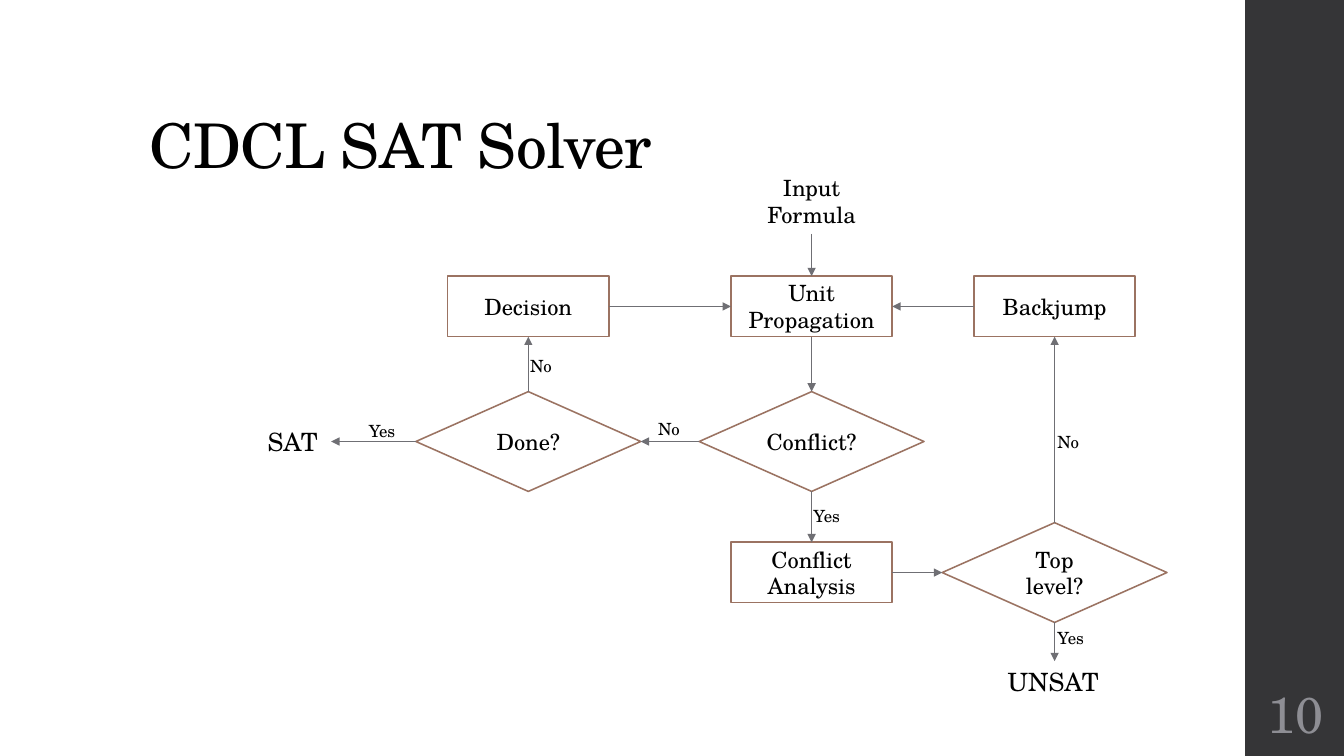
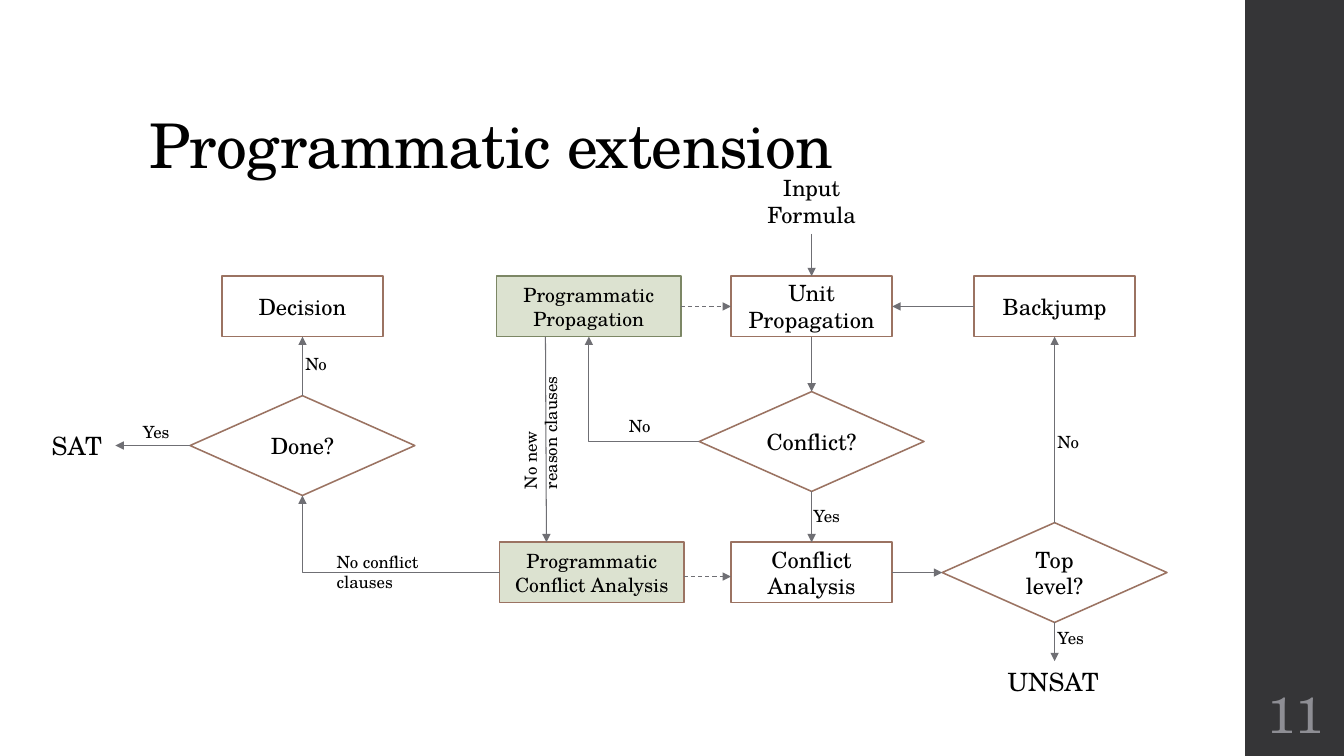
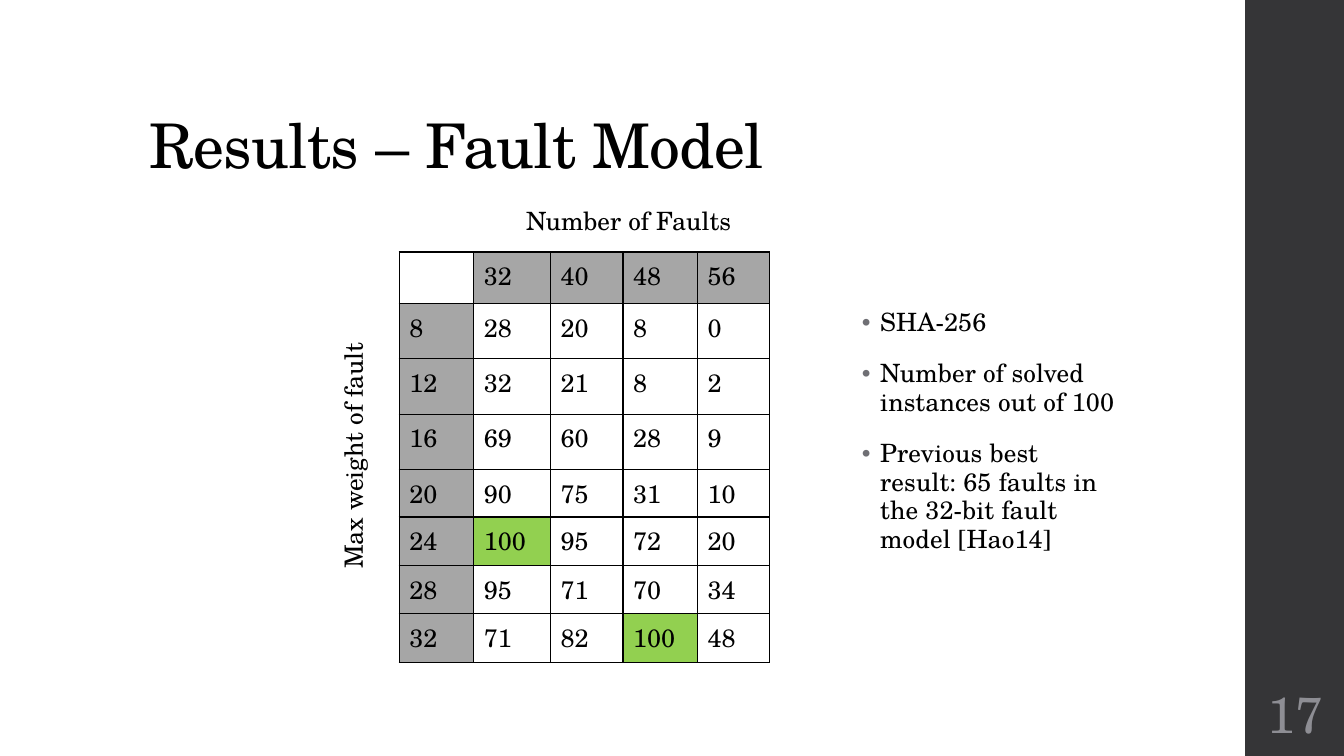
"""Builds three slides on a SAT solver: two flow charts and a table of results."""
import dataclasses

import lxml.etree
import pptx
import pptx.dml.color
import pptx.enum.dml
import pptx.enum.shapes
import pptx.enum.text
import pptx.oxml.ns
import pptx.util

Inches, Pt = pptx.util.Inches, pptx.util.Pt
SHAPE = pptx.enum.shapes.MSO_SHAPE
ALIGN = pptx.enum.text.PP_ALIGN
ANCHOR = pptx.enum.text.MSO_ANCHOR
qn = pptx.oxml.ns.qn


@dataclasses.dataclass(frozen=True)
class Theme:
    font: str = "TeX Gyre Schola"
    ink: str = "000000"
    paper: str = "FFFFFF"
    band: str = "353537"
    page: str = "8E8E94"
    wire: str = "6F6F74"
    edge: str = "9B7362"
    moss: str = "7C8765"
    sage: str = "DCE2D0"
    head: str = "A6A6A6"
    best: str = "92D050"
    title: int = 44
    number: int = 36
    body: int = 18
    node: int = 16
    small: int = 14
    tag: int = 12


LOOK = Theme()

KINDS = {
    "box": (SHAPE.RECTANGLE, 1.6, 0.6, LOOK.node, LOOK.paper, LOOK.edge),
    "ask": (SHAPE.DIAMOND, 2.23, 0.99, LOOK.node, LOOK.paper, LOOK.edge),
    "hook": (SHAPE.RECTANGLE, 1.83, 0.6, LOOK.small, LOOK.sage, LOOK.edge),
    "moss": (SHAPE.RECTANGLE, 1.83, 0.6, LOOK.small, LOOK.sage, LOOK.moss),
    "input": (None, 1.36, 0.64, LOOK.node),
    "sat": (None, 0.73, 0.4, LOOK.body),
    "unsat": (None, 1.13, 0.4, LOOK.body),
}
SIDES = {"top": (0, 0.5, 0), "left": (1, 0, 0.5),
         "bottom": (2, 0.5, 1), "right": (3, 1, 0.5)}

MID, EAST = 8.05, 10.46
HIGH, CORE, LOW = 3.04, 4.38, 5.68

NODES = [
    ("Unit Propagation", "box", MID, HIGH),
    ("Conflict?", "ask", MID, CORE),
    ("Conflict Analysis", "box", MID, LOW),
    ("Top level?", "ask", EAST, LOW),
    ("Backjump", "box", EAST, HIGH),
    ("Input Formula", "input", MID, 2),
    ("UNSAT", "unsat", EAST, 6.76),
]
WIRES = [
    ("Input Formula", "bottom", "Unit Propagation", "top"),
    ("Unit Propagation", "bottom", "Conflict?", "top"),
    ("Conflict?", "bottom", "Conflict Analysis", "top"),
    ("Conflict Analysis", "right", "Top level?", "left"),
    ("Top level?", "top", "Backjump", "bottom"),
    ("Top level?", "bottom", "UNSAT", "top"),
    ("Backjump", "left", "Unit Propagation", "right"),
    ("Done?", "top", "Decision", "bottom"),
    ("Done?", "left", "SAT", "right"),
]
TAGS = [("Yes", 7.97, 4.97), ("No", 10.39, 4.23), ("Yes", 10.39, 6.18)]

FLOWS = [
    {
        "title": "CDCL SAT Solver", "page": "10",
        "nodes": [("Done?", "ask", 5.24, CORE), ("Decision", "box", 5.24, HIGH),
                  ("SAT", "sat", 2.92, CORE)],
        "wires": [("Conflict?", "left", "Done?", "right"),
                  ("Decision", "right", "Unit Propagation", "left")],
        "tags": [("No", 6.43, 4.11), ("Yes", 3.56, 4.12), ("No", 5.16, 3.48)],
        "bends": [], "loose": [], "notes": [],
    },
    {
        "title": "Programmatic extension", "page": "11",
        "nodes": [("Done?", "ask", 3, 4.42), ("Decision", "box", 3, HIGH),
                  ("SAT", "sat", 0.78, 4.42),
                  ("Programmatic Propagation", "moss", 5.84, HIGH),
                  ("Programmatic Conflict Analysis", "hook", 5.87, LOW)],
        "wires": [],
        "tags": [("Yes", 1.32, 4.13), ("No", 2.93, 3.46), ("No", 6.14, 4.08)],
        "bends": [("Conflict?", "left", "Programmatic Propagation", "bottom"),
                  ("Programmatic Conflict Analysis", "left", "Done?", "bottom")],
        "loose": [((6.75, HIGH), (7.25, HIGH), True),
                  ((6.78, 5.72), (7.25, 5.72), True),
                  ((5.41, 3.34), (5.42, 5.38), False)],
        "notes": [(["No new", "reason clauses"], 4.7, 4.04, 270),
                  (["No conflict clauses"], 3.24, 5.42, 0)],
    },
]

RESULTS = {
    "title": "Results – Fault Model", "page": "17",
    "cols": [0.74, 0.76, 0.72, 0.74, 0.71],
    "rows": [0.51, 0.55, 0.55, 0.55, 0.47, 0.48, 0.48, 0.48],
    "cells": [
        ["", 32, 40, 48, 56],
        [8, 28, 20, 8, 0],
        [12, 32, 21, 8, 2],
        [16, 69, 60, 28, 9],
        [20, 90, 75, 31, 10],
        [24, 100, 95, 72, 20],
        [28, 95, 71, 70, 34],
        [32, 71, 82, 100, 48],
    ],
    "axes": [("Number of Faults", (5.1, 1.99, 2.27, 0.4), 0),
             ("Max weight of fault", (2.26, 4.32, 2.48, 0.4), 270)],
    "points": ["SHA-256", "Number of solved instances out of 100",
               "Previous best result: 65 faults in the 32-bit fault model [Hao14]"],
}


def rgb(hue):
    return pptx.dml.color.RGBColor.from_string(hue)


def place(shape, at):
    shape.left, shape.top, shape.width, shape.height = map(Inches, at)


def write(frame, lines, size, align=ALIGN.LEFT, hue=LOOK.ink):
    for i, line in enumerate(lines):
        para = frame.add_paragraph() if i else frame.paragraphs[0]
        para.alignment = align
        run = para.add_run()
        run.text = line
        font = run.font
        font.name, font.size = LOOK.font, Pt(size)
        font.color.rgb = rgb(hue)


def track(shape, value):
    for props in shape.element.iter(qn("a:rPr")):
        props.set("spc", str(value))


def label(slide, lines, at, size, align=ALIGN.LEFT, turn=0, hue=LOOK.ink, wrap=True):
    box = slide.shapes.add_textbox(*map(Inches, at))
    box.rotation = turn
    box.text_frame.word_wrap = wrap
    write(box.text_frame, lines, size, align, hue)
    return box


def paint(shape, fill, edge=None):
    shape.shadow.inherit = False
    shape.fill.solid()
    shape.fill.fore_color.rgb = rgb(fill)
    if edge:
        shape.line.color.rgb = rgb(edge)
        shape.line.width = Pt(1.1)
    else:
        shape.line.fill.background()


def start(deck, layout, title, page):
    slide = deck.slides.add_slide(deck.slide_layouts.get_by_name(layout))
    head = slide.shapes.title
    place(head, (1.38, 0.4, 10.6, 1.45))
    frame = head.text_frame
    frame.auto_size = pptx.enum.text.MSO_AUTO_SIZE.NONE
    frame.vertical_anchor = ANCHOR.BOTTOM
    write(frame, [title], LOOK.title)
    frame.paragraphs[0].line_spacing = 0.9
    track(head, -50)
    box = label(slide, [page], (12.35, 6.75, 1, 0.65), LOOK.number, ALIGN.CENTER, hue=LOOK.page)
    frame = box.text_frame
    frame.vertical_anchor = ANCHOR.MIDDLE
    frame.margin_left = frame.margin_right = Inches(0.05)
    return slide


def add_band(deck, slide):
    band = slide.shapes.add_shape(SHAPE.RECTANGLE, Inches(12.35), 0, Inches(1), Inches(7.5))
    paint(band, LOOK.band)
    deck.slide_master.shapes.element.insert(2, band.element)


def add_node(slide, text, kind, x, y):
    form, wide, tall, size, *hues = KINDS[kind]
    at = (x - wide / 2, y - tall / 2, wide, tall)
    if form is None:
        align = ALIGN.CENTER if kind == "input" else ALIGN.LEFT
        return label(slide, [text], at, size, align)
    node = slide.shapes.add_shape(form, *map(Inches, at))
    paint(node, *hues)
    node.text_frame.vertical_anchor = ANCHOR.MIDDLE
    write(node.text_frame, [text], size, ALIGN.CENTER)
    return node


def arrow(slide, tail, head, dash=False, kind="STRAIGHT"):
    form = getattr(pptx.enum.shapes.MSO_CONNECTOR, kind)
    wire = slide.shapes.add_connector(form, *tail, *head)
    wire.line.color.rgb = rgb(LOOK.wire)
    wire.line.width = Pt(0.75)
    if dash:
        wire.line.dash_style = pptx.enum.dml.MSO_LINE.DASH
    props = wire.element.spPr
    lxml.etree.SubElement(props.find(qn("a:ln")), qn("a:tailEnd"), type="triangle")
    lxml.etree.SubElement(props, qn("a:effectLst"))
    return wire


def port(node, side):
    _, across, down = SIDES[side]
    return int(node.left + node.width * across), int(node.top + node.height * down)


def link(slide, nodes, wire, kind="STRAIGHT"):
    first, out, last, into = wire
    tail, head = nodes[first], nodes[last]
    line = arrow(slide, port(tail, out), port(head, into), kind=kind)
    line.begin_connect(tail, SIDES[out][0])
    line.end_connect(head, SIDES[into][0])
    return line


def bend(slide, nodes, wire):
    props = link(slide, nodes, wire, "ELBOW").element.spPr
    props.find(qn("a:prstGeom")).set("prst", "bentConnector2")
    frame = props.find(qn("a:xfrm"))
    for flip in ("flipH", "flipV"):
        frame.attrib.pop(flip, None)
    frame.set("rot", "10800000")


def add_flow(deck, flow):
    slide = start(deck, "Title Only", flow["title"], flow["page"])
    nodes = {node[0]: add_node(slide, *node) for node in NODES + flow["nodes"]}
    for wire in WIRES + flow["wires"]:
        link(slide, nodes, wire)
    for wire in flow["bends"]:
        bend(slide, nodes, wire)
    for tail, head, dash in flow["loose"]:
        arrow(slide, map(Inches, tail), map(Inches, head), dash)
    for text, x, y in TAGS + flow["tags"]:
        label(slide, [text], (x, y, 0.63, 0.3), LOOK.tag)
    for lines, x, y, turn in flow["notes"]:
        label(slide, lines, (x, y, 1.32, 0.5), LOOK.tag, turn=turn)
    return slide


def add_grid(slide, data):
    cols, rows = data["cols"], data["rows"]
    at = map(Inches, (3.96, 2.5, sum(cols), sum(rows)))
    frame = slide.shapes.add_table(len(rows), len(cols), *at)
    table = frame.table
    table.first_row = table.horz_banding = False
    for col, wide in zip(table.columns, cols):
        col.width = Inches(wide)
    for row, tall in zip(table.rows, rows):
        row.height = Inches(tall)
    for i, line in enumerate(data["cells"]):
        for j, value in enumerate(line):
            cell = table.cell(i, j)
            hue = LOOK.head if (i == 0) != (j == 0) else LOOK.best if value == 100 else None
            if hue:
                cell.fill.solid()
                cell.fill.fore_color.rgb = rgb(hue)
            else:
                cell.fill.background()
            if value != "":
                write(cell.text_frame, [str(value)], LOOK.body)
    for cell in frame.element.iter(qn("a:tc")):
        props = cell.get_or_add_tcPr()
        for i, side in enumerate("LRTB"):
            edge = lxml.etree.Element(qn("a:ln" + side), w=str(Pt(1)))
            fill = lxml.etree.SubElement(edge, qn("a:solidFill"))
            lxml.etree.SubElement(fill, qn("a:srgbClr"), val=LOOK.ink)
            props.insert(i, edge)


def add_list(body, points):
    place(body, (8.43, 3.01, 2.73, 3.74))
    body.text_frame.auto_size = pptx.enum.text.MSO_AUTO_SIZE.NONE
    write(body.text_frame, points, LOOK.body)
    track(body, 10)
    for para in body.text_frame.paragraphs:
        para.line_spacing = 0.95
        para.space_before, para.space_after = Pt(14), Pt(2)
    for para in body.element.iter(qn("a:p")):
        props = para.get_or_add_pPr()
        props.set("marL", str(Inches(0.2)))
        props.set("indent", str(Inches(-0.2)))
        tint = lxml.etree.SubElement(props, qn("a:buClr"))
        lxml.etree.SubElement(tint, qn("a:srgbClr"), val=LOOK.wire)
        lxml.etree.SubElement(props, qn("a:buSzPct"), val="80000")
        lxml.etree.SubElement(props, qn("a:buFont"), typeface=LOOK.font)
        lxml.etree.SubElement(props, qn("a:buChar"), char="•")


def add_results(deck, data):
    slide = start(deck, "Title and Content", data["title"], data["page"])
    add_list(slide.placeholders[1], data["points"])
    add_grid(slide, data)
    for text, at, turn in data["axes"]:
        label(slide, [text], at, LOOK.body, ALIGN.CENTER, turn, wrap=False)


def main():
    deck = pptx.Presentation()
    deck.slide_width, deck.slide_height = Inches(13.33), Inches(7.5)
    slides = [add_flow(deck, flow) for flow in FLOWS]
    add_band(deck, slides[0])
    add_results(deck, RESULTS)
    deck.save("out.pptx")


if __name__ == "__main__":
    main()
